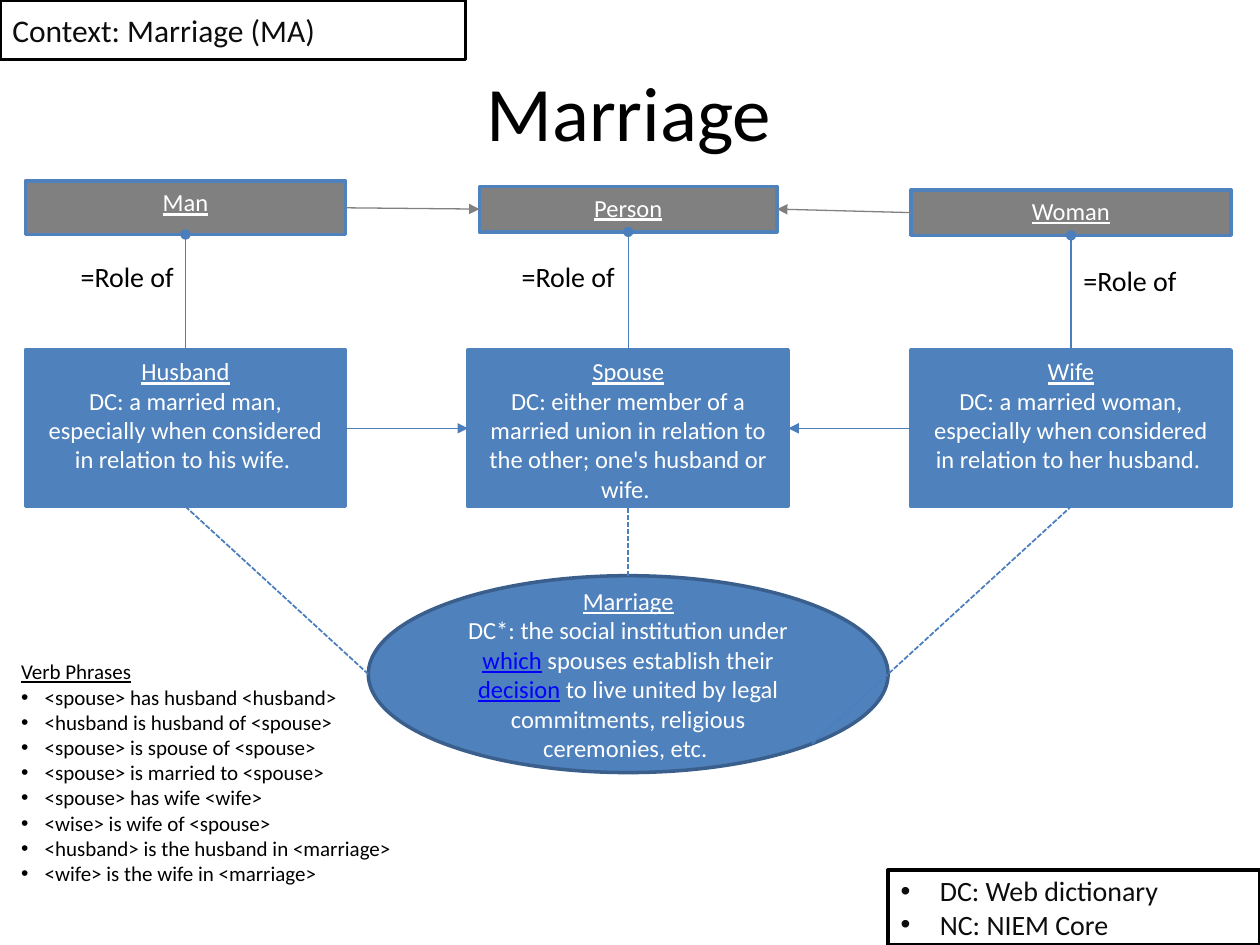
from math import sqrt

from lxml import etree
from pptx import Presentation, util as u
from pptx.dml.color import RGBColor
from pptx.enum import dml, shapes, text
from pptx.oxml.ns import qn

COLORS = {
    "concept": "4F81BD", "ellipse_edge": "3A5F8C", "relation": "4B7EBC",
    "kind": "808080", "white": "FFFFFF", "black": "000000",
    "note": "0D0D0D", "link": "0000FF",
}
TOP, LEFT, BOTTOM, RIGHT = range(4)
CENTER = text.PP_ALIGN.CENTER
MIDDLE = text.MSO_ANCHOR.MIDDLE

ROLE_W, ROLE_H, ROLE_TOP = 183, 89.5, 200
HUSBAND_X, SPOUSE_X, WIFE_X = (14.5 + 253 * i for i in range(3))
ELLIPSE_W, ELLIPSE_H, ELLIPSE_TOP = 297, 112.5, 329


def apply(target, values):
    for name, value in values.items():
        setattr(target, name, value)


def rgb(name):
    return RGBColor.from_string(COLORS[name])


def add_bullet(paragraph, indent):
    properties = paragraph._p.get_or_add_pPr()
    properties.set("marL", str(u.Pt(indent)))
    properties.set("indent", str(-u.Pt(indent)))
    etree.SubElement(properties, qn("a:buFont")).set("typeface", "Arial")
    etree.SubElement(properties, qn("a:buChar")).set("char", "•")


def write(frame, paragraphs, size, color, align=None, anchor=text.MSO_ANCHOR.TOP,
          indent=0, heading=False, wrap=True):
    apply(frame, {"word_wrap": wrap, "vertical_anchor": anchor})
    for index, runs in enumerate(paragraphs):
        paragraph = frame.paragraphs[0] if index == 0 else frame.add_paragraph()
        is_heading = heading and index == 0
        if indent and not is_heading:
            add_bullet(paragraph, indent)
        paragraph.alignment = align or text.PP_ALIGN.LEFT
        for wording, is_link in runs if isinstance(runs, list) else [(runs, False)]:
            run = paragraph.add_run()
            run.text = wording
            apply(run.font, {"name": "Calibri", "size": u.Pt(size),
                             "underline": is_heading or is_link})
            run.font.color.rgb = rgb("link" if is_link else color)


def add_label(slide, box, paragraphs, size, **style):
    label = slide.shapes.add_textbox(*map(u.Pt, box))
    write(label.text_frame, paragraphs, size, "black", **style)


def add_box(slide, box, fill, edge, paragraphs, size, color,
            preset=shapes.MSO_SHAPE.RECTANGLE, **style):
    node = slide.shapes.add_shape(preset, *map(u.Pt, box))
    node.shadow.inherit = False
    node.fill.solid()
    node.fill.fore_color.rgb = rgb(fill)
    node.line.color.rgb = rgb(edge)
    node.line.width = u.Pt(2)
    write(node.text_frame, paragraphs, size, color, **style)
    return node


def add_concept(slide, box, paragraphs, fill="concept", edge="concept", **style):
    return add_box(slide, box, fill, edge, paragraphs, 14, "white",
                   align=CENTER, heading=True, **style)


def add_relation(slide, start, end, color="relation", width=0.75, dash=None, tail=None):
    relation = slide.shapes.add_connector(shapes.MSO_CONNECTOR.STRAIGHT, 0, 0, 0, 0)
    if isinstance(start[0], (int, float)):
        apply(relation, {"begin_x": u.Pt(start[0]), "begin_y": u.Pt(start[1])})
    else:
        relation.begin_connect(*start)
    relation.end_connect(*end)
    relation.line.color.rgb = rgb(color)
    apply(relation.line, {"width": u.Pt(width), "dash_style": dash})
    properties = relation._element.spPr
    if tail:
        etree.SubElement(properties.find(qn("a:ln")), qn("a:tailEnd")).set("type", tail)
    etree.SubElement(properties, qn("a:effectLst"))


def add_role(slide, left, name, definition):
    return add_concept(slide, (left, ROLE_TOP, ROLE_W, ROLE_H), [name, definition])


def add_kind(slide, box, name):
    return add_concept(slide, box, [name], fill="kind")


def main():
    deck = Presentation()
    apply(deck, {"slide_width": u.Pt(720), "slide_height": u.Pt(540)})
    slide = deck.slides.add_slide(deck.slide_layouts[6])

    add_label(slide, (35.5, 18, 648, 90), ["Marriage"], 44, align=CENTER, anchor=MIDDLE)

    ellipse_x = SPOUSE_X + ROLE_W / 2 - ELLIPSE_W / 2
    marriage = add_concept(
        slide, (ellipse_x, ELLIPSE_TOP, ELLIPSE_W, ELLIPSE_H),
        ["Marriage",
         [("DC*: the social institution under ", False), ("which", True),
          (" spouses establish their ", False), ("decision", True),
          (" to live united by legal commitments, religious ceremonies, etc. ", False)]],
        edge="ellipse_edge", preset=shapes.MSO_SHAPE.OVAL, anchor=MIDDLE)

    husband = add_role(slide, HUSBAND_X, "Husband",
                       "DC: a married man, especially when considered in relation to his wife. ")
    spouse = add_role(slide, SPOUSE_X, "Spouse",
                      "DC: either member of a married union in relation to the other; "
                      "one's husband or wife. ")
    wife = add_role(slide, WIFE_X, "Wife",
                    "DC: a married woman, especially when considered in relation to her husband. ")
    man = add_kind(slide, (HUSBAND_X, 103.5, ROLE_W, 30.5), "Man")
    person = add_kind(slide, (SPOUSE_X + 6.5, 106.5, ROLE_W - 13, 26), "Person")
    woman = add_kind(slide, (WIFE_X, 108.5, ROLE_W, 26), "Woman")

    for left, middle, right, color in ((husband, spouse, wife, "relation"),
                                       (man, person, woman, "kind")):
        add_relation(slide, (left, RIGHT), (middle, LEFT), color, tail="triangle")
        add_relation(slide, (right, LEFT), (middle, RIGHT), color, tail="triangle")
    for role, kind in ((husband, man), (spouse, person), (wife, woman)):
        add_relation(slide, (role, TOP), (kind, BOTTOM), tail="oval")

    center_y = ELLIPSE_TOP + ELLIPSE_H / 2
    ellipse_left = (ellipse_x, center_y)
    ellipse_lower_right = (ellipse_x + ELLIPSE_W / 2 * (1 + sqrt(0.5)),
                           center_y + ELLIPSE_H / 2 * sqrt(0.5))
    for start, role in (((marriage, TOP), spouse), (ellipse_left, husband),
                        (ellipse_lower_right, wife)):
        add_relation(slide, start, (role, BOTTOM), width=1,
                     dash=dml.MSO_LINE.SQUARE_DOT)

    for left, top in ((39, 145), (291, 145), (612, 147)):
        add_label(slide, (left, top, 68.5, 26.5), ["=Role of"], 16, wrap=False)

    add_box(slide, (507.5, 497, 212.5, 43), "white", "black",
            ["DC: Web dictionary", "NC: NIEM Core"], 16, "note",
            anchor=MIDDLE, indent=22.5)
    add_box(slide, (0, 0, 266, 34), "white", "black",
            ["Context: Marriage (MA)"], 18, "note", anchor=MIDDLE)
    add_label(slide, (5, 373, 230.5, 167),
              ["Verb Phrases",
               "<spouse> has husband <husband>",
               "<husband is husband of <spouse>",
               "<spouse> is spouse of <spouse>",
               "<spouse> is married to <spouse>",
               "<spouse> has wife <wife>",
               "<wise> is wife of <spouse>",
               "<husband> is the husband in <marriage>",
               "<wife> is the wife in <marriage>"],
              12, indent=13.5, heading=True)

    deck.save("out.pptx")


if __name__ == "__main__":
    main()
